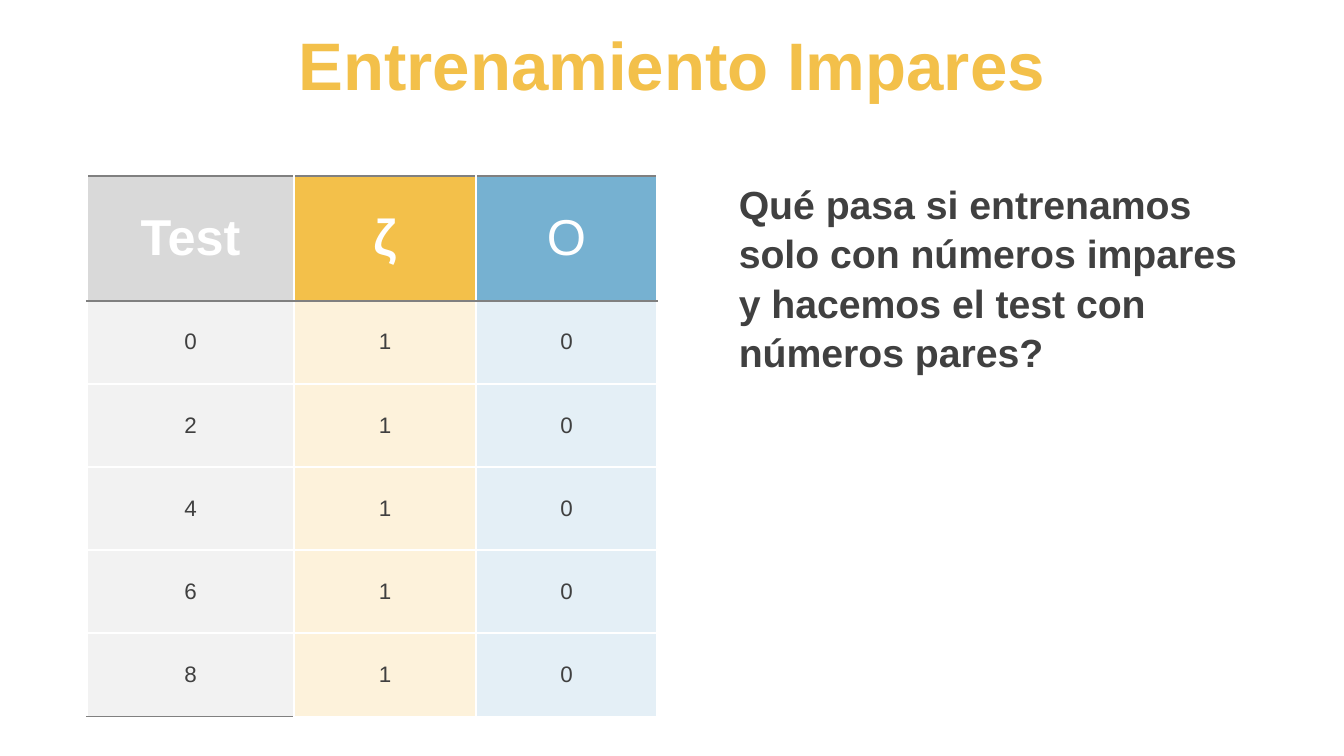
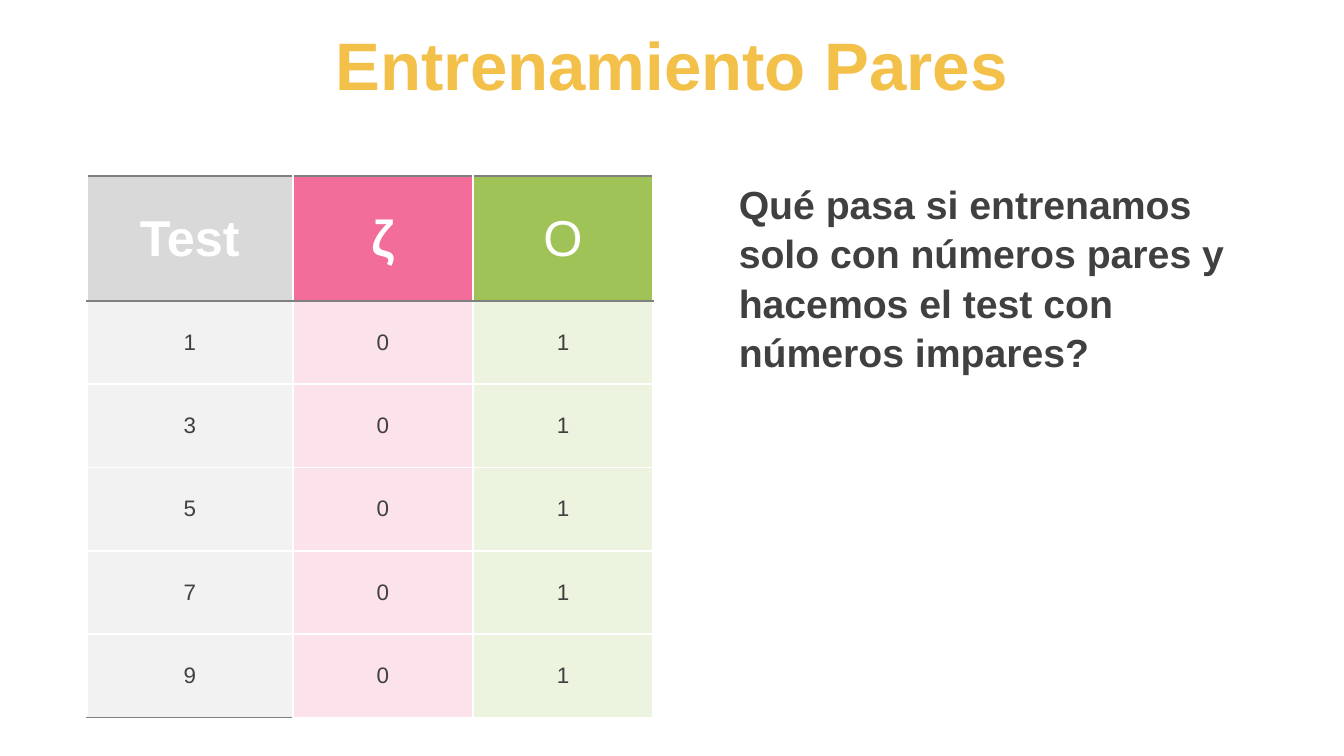
import dataclasses

import lxml.etree
import pptx
import pptx.dml.color
import pptx.enum.text
import pptx.oxml.ns
import pptx.util


@dataclasses.dataclass(frozen=True)
class Theme:
    font: str = "Arial"
    title: str = "F3C04A"
    ink: str = "404040"
    paper: str = "FFFFFF"
    rule: str = "808080"
    test_head: str = "D9D9D9"
    test_body: str = "F2F2F2"
    title_size: int = 48
    header_size: int = 36
    question_size: int = 28
    cell_size: int = 16
    rule_width: float = 1.5


class TrainingDeck:
    columns = 100
    rows = 100
    header_share = 0.23

    def __init__(self, theme):
        self.theme = theme
        self.deck = pptx.Presentation()
        self.deck.slide_width = pptx.util.Inches(13.33)
        self.deck.slide_height = pptx.util.Inches(7.5)
        self.slide = None

    def place(self, left, top, width, height):
        column = self.deck.slide_width / self.columns
        row = self.deck.slide_height / self.rows
        return [round(size) for size in (left * column, top * row, width * column, height * row)]

    def color(self, value):
        return pptx.dml.color.RGBColor.from_string(value)

    def add_slide(self):
        self.slide = self.deck.slides.add_slide(self.deck.slide_layouts[6])

    def set_text(self, frame, text, size, color, bold=False, centered=False):
        para = frame.paragraphs[0]
        para.text = text
        if centered:
            para.alignment = pptx.enum.text.PP_ALIGN.CENTER
        para.font.name = self.theme.font
        para.font.size = pptx.util.Pt(size)
        para.font.bold = bold
        para.font.color.rgb = self.color(color)
        return para

    def add_box(self, area, text, size, color, centered=False):
        box = self.slide.shapes.add_textbox(*self.place(*area))
        frame = box.text_frame
        frame.word_wrap = True
        frame.vertical_anchor = pptx.enum.text.MSO_ANCHOR.MIDDLE
        return self.set_text(frame, text, size, color, bold=True, centered=centered)

    def add_title(self, text):
        self.add_box((0, 0.9, 100, 15.07), text, self.theme.title_size, self.theme.title, centered=True)

    def add_question(self, text):
        para = self.add_box((54.23, 23.33, 39.38, 26.53), text, self.theme.question_size, self.theme.ink)
        para.line_spacing = 1.05

    def draw_borders(self, cell, top, bottom):
        properties = cell._tc.get_or_add_tcPr()
        sides = {"lnL": self.theme.paper, "lnR": self.theme.paper, "lnT": top, "lnB": bottom}
        for side, color in sides.items():
            line = lxml.etree.SubElement(properties, pptx.oxml.ns.qn(f"a:{side}"))
            line.set("w", str(pptx.util.Pt(self.theme.rule_width)))
            fill = lxml.etree.SubElement(line, pptx.oxml.ns.qn("a:solidFill"))
            lxml.etree.SubElement(fill, pptx.oxml.ns.qn("a:srgbClr")).set("val", color)

    def fill_cell(self, cell, text, fill, header, bold, top, bottom):
        theme = self.theme
        cell.margin_left = cell.margin_right = pptx.util.Inches(0.13)
        cell.margin_top = cell.margin_bottom = pptx.util.Inches(0.07)
        cell.vertical_anchor = pptx.enum.text.MSO_ANCHOR.MIDDLE
        self.draw_borders(cell, top, bottom)
        cell.fill.solid()
        cell.fill.fore_color.rgb = self.color(fill)
        size, color = (theme.header_size, theme.paper) if header else (theme.cell_size, theme.ink)
        self.set_text(cell.text_frame, text, size, color, bold=bold, centered=True)

    def add_results(self, width, height, records, head_fills, body_fills):
        theme = self.theme
        grid = [("Test", "ζ", "Ο"), *records]
        area = self.place(6.45, 23.33, width, height)
        table = self.slide.shapes.add_table(len(grid), len(grid[0]), *area).table
        table.first_row = table.horz_banding = False
        for column, share in zip(table.columns, (0.364, 0.318, 0.318)):
            column.width = round(area[2] * share)
        body_share = (1 - self.header_share) / len(records)
        last = len(grid) - 1
        for r, record in enumerate(grid):
            header = r == 0
            table.rows[r].height = round(area[3] * (self.header_share if header else body_share))
            fills = (theme.test_head, *head_fills) if header else (theme.test_body, *body_fills)
            for c, (text, fill) in enumerate(zip(record, fills)):
                top = theme.rule if r <= 1 else theme.paper
                bottom = theme.rule if header or (r == last and c == 0) else theme.paper
                self.fill_cell(table.cell(r, c), text, fill, header, header and c < 2, top, bottom)


def main():
    pages = [
        {
            "title": "Entrenamiento Impares",
            "question": "Qué pasa si entrenamos solo con números impares y hacemos el test con números pares?",
            "width": 42.45,
            "height": 71.47,
            "records": [(str(number), "1", "0") for number in range(0, 10, 2)],
            "head_fills": ("F3C04A", "76B1D1"),
            "body_fills": ("FDF2DB", "E4EFF6"),
        },
        {
            "title": "Entrenamiento Pares",
            "question": "Qué pasa si entrenamos solo con números pares y hacemos el test con números impares?",
            "width": 42.15,
            "height": 71.6,
            "records": [(str(number), "0", "1") for number in range(1, 10, 2)],
            "head_fills": ("F26D9A", "A0C358"),
            "body_fills": ("FCE2EB", "ECF3DE"),
        },
    ]
    training = TrainingDeck(Theme())
    for page in pages:
        training.add_slide()
        training.add_title(page.pop("title"))
        training.add_question(page.pop("question"))
        training.add_results(**page)
    training.deck.save("out.pptx")


if __name__ == "__main__":
    main()
